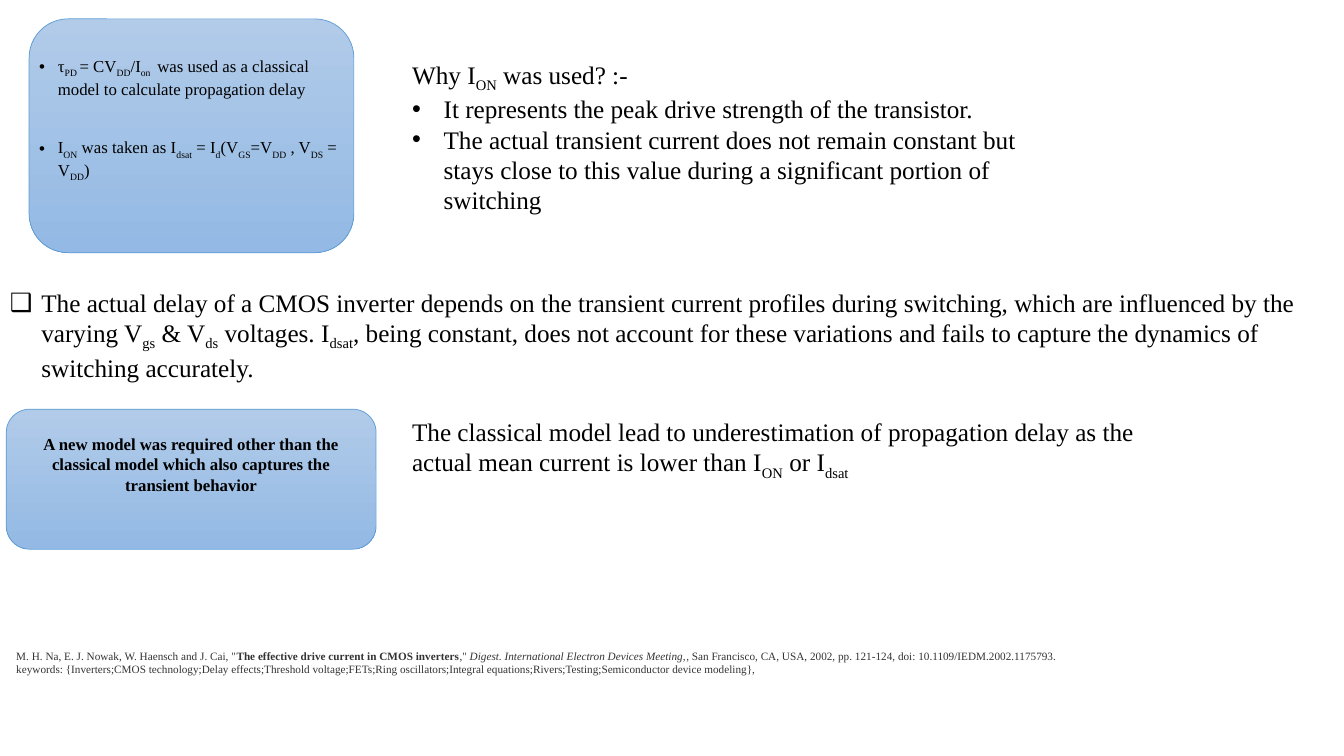
from dataclasses import dataclass

from lxml.etree import SubElement
from pptx import Presentation
from pptx.dml.color import RGBColor
from pptx.enum.shapes import MSO_SHAPE
from pptx.enum.text import MSO_ANCHOR, MSO_AUTO_SIZE, PP_ALIGN
from pptx.oxml.ns import qn
from pptx.util import Pt


@dataclass(frozen=True)
class Theme:
    font: str = "Times New Roman"
    ink: str = "000000"
    citation_ink: str = "333333"
    card_top: str = "B1CBE9"
    card_bottom: str = "93B9E4"
    card_edge: str = "5B9BD5"
    body: float = 18
    card: float = 12
    citation: float = 8


THEME = Theme()
MARKS = {"~": "subscript", "*": "bold", "_": "italic"}


def add_run(paragraph, text, styles, size, color):
    run = paragraph.add_run()
    run.text = text
    run.font.name = THEME.font
    run.font.size = Pt(size)
    run.font.color.rgb = RGBColor.from_string(color)
    if "bold" in styles:
        run.font.bold = True
    if "italic" in styles:
        run.font.italic = True
    if "subscript" in styles:
        run.font._element.set("baseline", "-25000")


def write(paragraph, text, size=THEME.body, color=THEME.ink, bullet=None,
          indent=22.5, before=0, align=PP_ALIGN.LEFT):
    paragraph.alignment = align
    paragraph.space_before = Pt(before)
    if bullet:
        properties = paragraph._p.get_or_add_pPr()
        properties.set("marL", str(Pt(indent)))
        properties.set("indent", str(-Pt(indent)))
        SubElement(properties, qn("a:buFont")).set("typeface", "Arial")
        SubElement(properties, qn("a:buChar")).set("char", bullet)
    styles, pending = set(), ""
    for letter in text:
        if letter not in MARKS and letter != "\n":
            pending += letter
            continue
        if pending:
            add_run(paragraph, pending, styles, size, color)
            pending = ""
        if letter == "\n":
            paragraph.add_line_break()
        else:
            styles ^= {MARKS[letter]}
    if pending:
        add_run(paragraph, pending, styles, size, color)


def add_text(slide, left, top, width, height):
    frame = slide.shapes.add_textbox(Pt(left), Pt(top), Pt(width), Pt(height)).text_frame
    frame.word_wrap = True
    frame.auto_size = MSO_AUTO_SIZE.SHAPE_TO_FIT_TEXT
    return frame


def add_card(slide, left, top, width, height):
    card = slide.shapes.add_shape(
        MSO_SHAPE.ROUNDED_RECTANGLE, Pt(left), Pt(top), Pt(width), Pt(height))
    card.shadow.inherit = False
    card.fill.gradient()
    card.fill.gradient_angle = 270
    for stop, color in zip(card.fill.gradient_stops, (THEME.card_top, THEME.card_bottom)):
        stop.color.rgb = RGBColor.from_string(color)
    card.line.color.rgb = RGBColor.from_string(THEME.card_edge)
    card.line.width = Pt(0.5)
    return card.text_frame


def main():
    deck = Presentation()
    deck.slide_width, deck.slide_height = Pt(960), Pt(540)
    slide = deck.slides.add_slide(deck.slide_layouts[6])

    add_card(slide, 20.8, 13.5, 232, 167)
    classical = add_text(slide, 20.8, 36, 232, 94.3)
    write(classical.paragraphs[0],
          "τ~PD ~= CV~DD~/I~on ~ was used as a classical model to calculate propagation delay",
          size=THEME.card, bullet="•", indent=13.5)
    write(classical.add_paragraph(),
          "I~ON~ was taken as I~dsat~ = I~d~(V~GS~=V~DD~ , V~DS~ = V~DD~)",
          size=THEME.card, bullet="•", indent=13.5, before=27.6)

    reasons = add_text(slide, 287.3, 38.9, 480, 116.6)
    write(reasons.paragraphs[0], "Why I~ON~ was used? :-")
    for reason in (
        "It represents the peak drive strength of the transistor.",
        "The actual transient current does not remain constant but stays close to this "
        "value during a significant portion of switching",
    ):
        write(reasons.add_paragraph(), reason, bullet="•")

    limitation = add_text(slide, 0, 201.6, 952, 73.5)
    write(limitation.paragraphs[0],
          "The actual delay of a CMOS inverter depends on the transient current profiles "
          "during switching, which are influenced by the varying V~gs~ & V~ds~ voltages. "
          "I~dsat~, being constant, does not account for these variations and fails to "
          "capture the dynamics of switching accurately.", bullet="❑")

    new_model = add_card(slide, 4.5, 292.3, 264.2, 100)
    new_model.word_wrap = True
    new_model.vertical_anchor = MSO_ANCHOR.MIDDLE
    new_model.margin_bottom = Pt(24.9)
    write(new_model.paragraphs[0],
          "*A new model was required other than the classical model which also captures "
          "the transient behavior*", size=THEME.card, align=PP_ALIGN.CENTER)

    consequence = add_text(slide, 287.3, 293.8, 544.3, 72.7)
    write(consequence.paragraphs[0],
          "The classical model lead to underestimation of propagation delay as the actual "
          "mean current is lower than I~ON~ or I~dsat~")

    citation = add_text(slide, 4.5, 460, 821.5, 26.6)
    write(citation.paragraphs[0],
          'M. H. Na, E. J. Nowak, W. Haensch and J. Cai, "*The effective drive current in '
          'CMOS inverters*," _Digest. International Electron Devices Meeting,_, San '
          'Francisco, CA, USA, 2002, pp. 121-124, doi: 10.1109/IEDM.2002.1175793.\n'
          'keywords: {Inverters;CMOS technology;Delay effects;Threshold voltage;FETs;Ring '
          'oscillators;Integral equations;Rivers;Testing;Semiconductor device modeling},',
          size=THEME.citation, color=THEME.citation_ink)

    deck.save("out.pptx")


if __name__ == "__main__":
    main()
